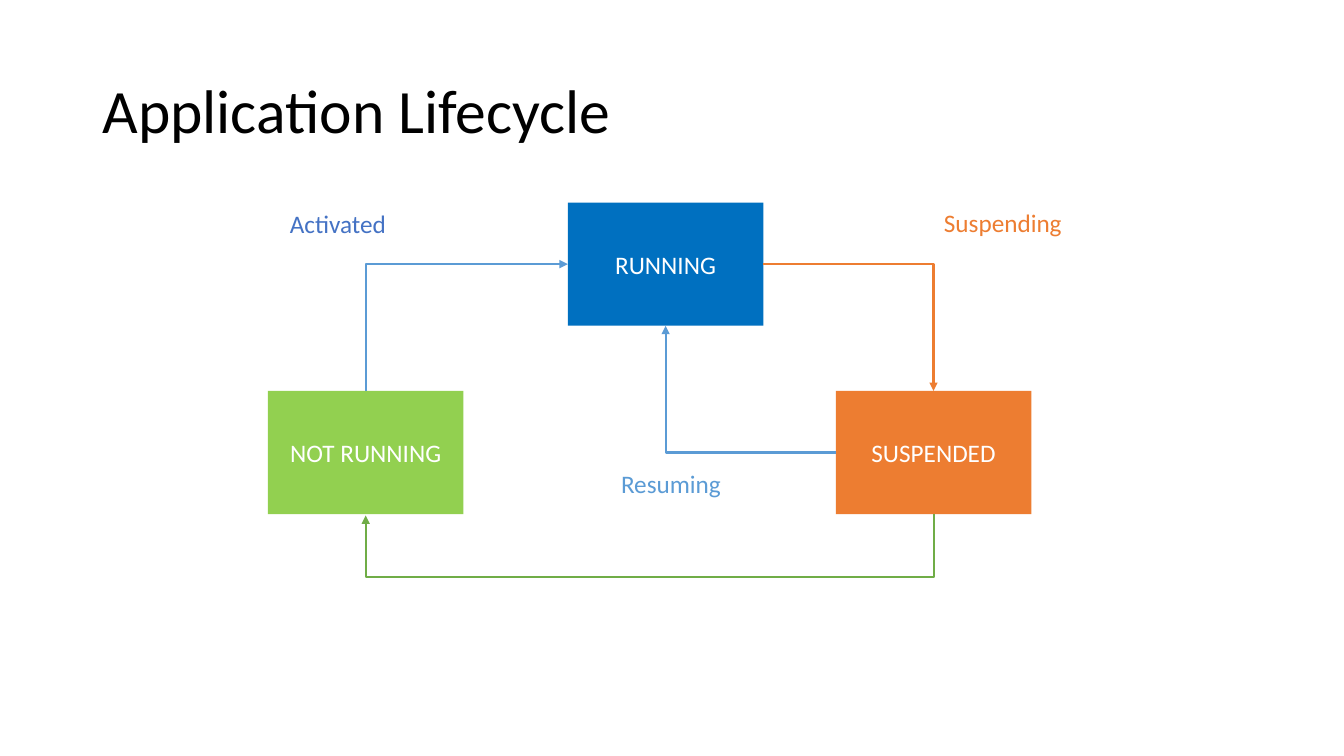
import dataclasses

import pptx
import pptx.dml.color
import pptx.enum.shapes
import pptx.enum.text
import pptx.oxml.ns
import pptx.util
from lxml import etree

Pt = pptx.util.Pt
Shape = pptx.enum.shapes.MSO_SHAPE
Connector = pptx.enum.shapes.MSO_CONNECTOR
Align = pptx.enum.text.PP_ALIGN
Anchor = pptx.enum.text.MSO_ANCHOR
AutoSize = pptx.enum.text.MSO_AUTO_SIZE
qn = pptx.oxml.ns.qn

TOP, LEFT, BOTTOM, RIGHT = range(4)  # connection sites of a rectangle
BOX_W, BOX_H = 139.7, 88
UPPER, LOWER = 144.7, 279.2  # tops of the two rows of states


@dataclasses.dataclass(frozen=True)
class Theme:
    font: str = "Calibri"
    title_size: int = 44
    body_size: int = 18
    line_width: float = 1.5
    black: str = "000000"
    white: str = "FFFFFF"
    running: str = "0070C0"
    suspended: str = "ED7D31"
    not_running: str = "92D050"
    activated: str = "4472C4"
    resume: str = "5B9BD5"
    terminate: str = "70AD47"


THEME = Theme()


def rgb(color):
    return pptx.dml.color.RGBColor.from_string(color)


def apply(obj, values):
    for name, value in values.items():
        setattr(obj, name, value)


def write(sp, text, color, size=THEME.body_size, frame=None, paragraph=None):
    tf = sp.text_frame
    apply(tf, frame or {})
    p = tf.paragraphs[0]
    apply(p, paragraph or {})
    r = p.add_run()
    r.text = text
    apply(r.font, {"name": THEME.font, "size": Pt(size)})
    r.font.color.rgb = rgb(color)


def add_title(s, text):
    sp = s.shapes.title
    apply(sp, {"left": Pt(66), "top": Pt(28.75), "width": Pt(828), "height": Pt(104.4)})
    write(sp, text, THEME.black, THEME.title_size,
          {"vertical_anchor": Anchor.MIDDLE, "word_wrap": True},
          {"alignment": Align.LEFT, "line_spacing": 0.9})


def add_state(s, text, left, top, color):
    sp = s.shapes.add_shape(Shape.RECTANGLE, Pt(left), Pt(top), Pt(BOX_W), Pt(BOX_H))
    sp.shadow.inherit = False
    sp.fill.solid()
    sp.fill.fore_color.rgb = rgb(color)
    sp.line.fill.background()
    write(sp, text, THEME.white, frame={"vertical_anchor": Anchor.MIDDLE},
          paragraph={"alignment": Align.CENTER})
    return sp


def add_label(s, text, left, top, width, color):
    sp = s.shapes.add_textbox(Pt(left), Pt(top), Pt(width), Pt(29))
    write(sp, text, color,
          frame={"word_wrap": False, "auto_size": AutoSize.SHAPE_TO_FIT_TEXT})


def add_transition(s, start, start_site, end, end_site, color, rot=0, flip=False, drop=None):
    """Join two states with a one-bend arrow, or a U-shaped one that dips by drop."""
    c = s.shapes.add_connector(Connector.ELBOW, 0, 0, 0, 0)
    c.begin_connect(start, start_site)
    c.end_connect(end, end_site)
    mid_x, mid_y = (c.begin_x + c.end_x) // 2, (c.begin_y + c.end_y) // 2
    w = abs(c.end_x - c.begin_x)
    h = max(abs(c.end_y - c.begin_y), Pt(1))
    if drop:
        mid_y += h // 2
    if rot == 90:
        w, h = h, w
    apply(c, {"left": mid_x - w // 2, "top": mid_y - h // 2, "width": w, "height": h})
    sp_pr = c._element.spPr
    apply(sp_pr.find(qn("a:xfrm")), {"rot": float(rot), "flipH": flip, "flipV": flip})

    geometry = sp_pr.find(qn("a:prstGeom"))
    if drop:
        guides = geometry.find(qn("a:avLst"))
        if guides is None:
            guides = etree.SubElement(geometry, qn("a:avLst"))
        ratio = round(Pt(drop) / w * 100000)
        etree.SubElement(guides, qn("a:gd"), name="adj1", fmla=f"val {ratio}")
    else:
        geometry.set("prst", "bentConnector2")

    c.line.width = Pt(THEME.line_width)
    c.line.color.rgb = rgb(color)
    etree.SubElement(sp_pr.find(qn("a:ln")), qn("a:tailEnd"), type="triangle")
    etree.SubElement(sp_pr, qn("a:effectLst"))


def main():
    prs = pptx.Presentation()
    apply(prs, {"slide_width": Pt(960), "slide_height": Pt(540)})
    s = prs.slides.add_slide(prs.slide_layouts.get_by_name("Title Only"))
    add_title(s, "Application Lifecycle")

    running = add_state(s, "RUNNING", 405.6, UPPER, THEME.running)
    suspended = add_state(s, "SUSPENDED", 597, LOWER, THEME.suspended)
    not_running = add_state(s, "NOT RUNNING", 191.4, LOWER, THEME.not_running)

    add_label(s, "Suspending", 667.2, 144.7, 100, THEME.suspended)
    add_label(s, "Resuming", 436.5, 330.6, 86.2, THEME.resume)
    add_label(s, "Activated", 200, 145.4, 84.2, THEME.activated)

    add_transition(s, not_running, TOP, running, LEFT, THEME.resume, rot=90, flip=True)
    add_transition(s, running, RIGHT, suspended, TOP, THEME.suspended)
    add_transition(s, suspended, BOTTOM, not_running, BOTTOM, THEME.terminate, rot=90, drop=45.5)
    add_transition(s, suspended, LEFT, running, BOTTOM, THEME.resume, rot=180)
    prs.save("out.pptx")


if __name__ == "__main__":
    main()
